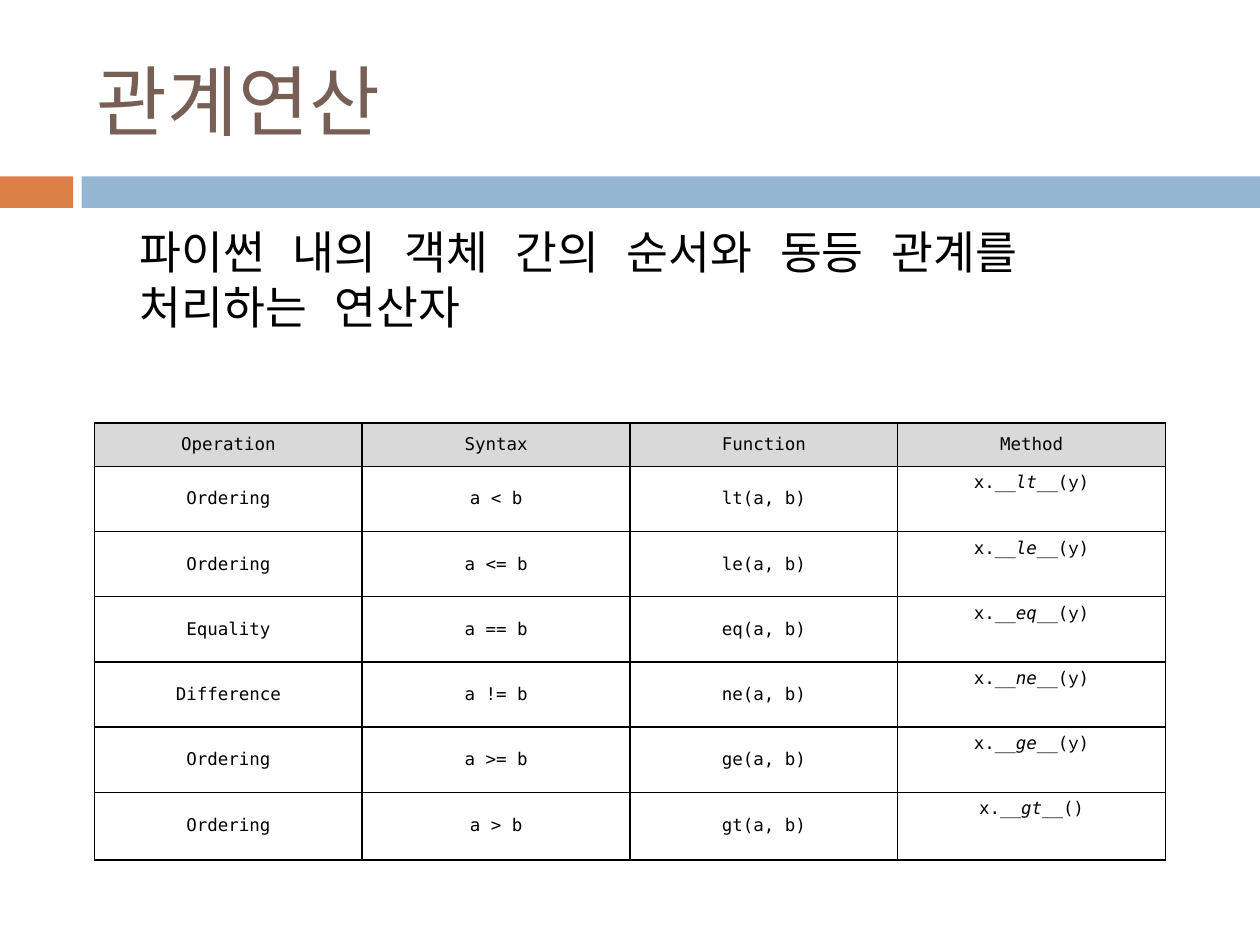
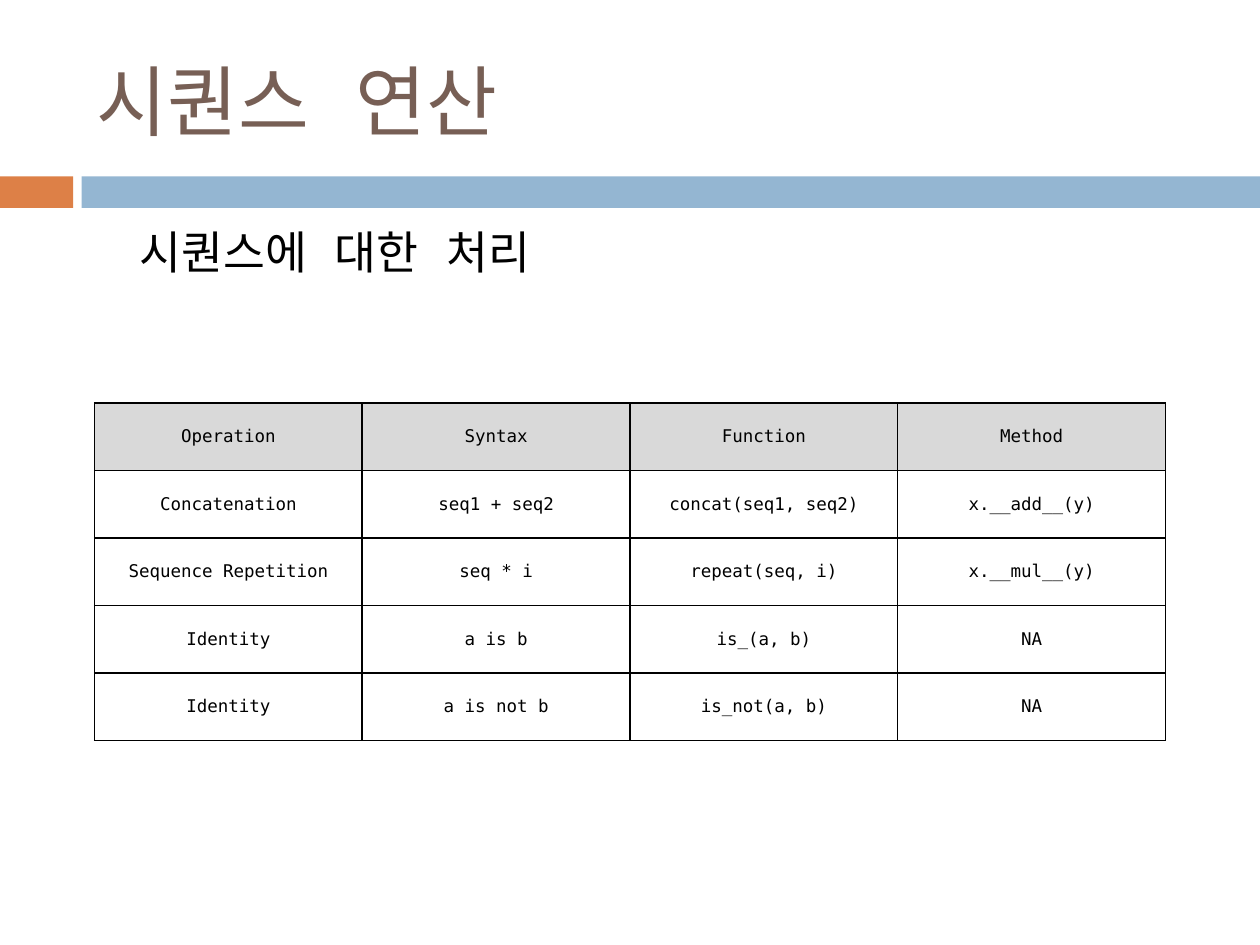
from lxml import etree
from pptx import Presentation
from pptx.dml.color import RGBColor
from pptx.enum.lang import MSO_LANGUAGE_ID
from pptx.enum.shapes import MSO_SHAPE
from pptx.enum.text import MSO_ANCHOR, PP_ALIGN
from pptx.oxml.ns import qn
from pptx.util import Pt

RECTANGLE = MSO_SHAPE.RECTANGLE
TOP, MIDDLE = MSO_ANCHOR.TOP, MSO_ANCHOR.MIDDLE
LEFT, CENTER = PP_ALIGN.LEFT, PP_ALIGN.CENTER
KOREAN = MSO_LANGUAGE_ID.KOREAN

COLORS = {
    "accent": "DD8047",
    "band": "94B6D2",
    "title": "775F55",
    "text": "000000",
    "header": "D9D9D9",
    "border": "000000",
}
FONT = "DejaVu Sans Mono"
ARGUMENT_FONT = "Courier New"

PAGE_WIDTH, PAGE_HEIGHT = 720, 540
BAND_BOX = (0, 100.8, PAGE_WIDTH, 18)
TITLE_BOX = (48.24, 18, 642.24, 77.76)
BODY_BOX = (36.72, 124.56, 648, 72)
TABLE_LEFT, TABLE_WIDTH = 54, 612

COLUMNS = ("Operation", "Syntax", "Function", "Method")
RELATIONS = [
    ("Ordering", "<", "lt", "y"),
    ("Ordering", "<=", "le", "y"),
    ("Equality", "==", "eq", "y"),
    ("Difference", "!=", "ne", "y"),
    ("Ordering", ">=", "ge", "y"),
    ("Ordering", ">", "gt", ""),
]
SEQUENCES = [
    ("Concatenation", "seq1 + seq2", "concat(seq1, seq2)", "x.__add__(y)"),
    ("Sequence Repetition", "seq * i", "repeat(seq, i)", "x.__mul__(y)"),
    ("Identity", "a is b", "is_(a, b)", "NA"),
    ("Identity", "a is not b", "is_not(a, b)", "NA"),
]


def rgb(name):
    return RGBColor.from_string(COLORS[name])


def write(para, text, size=10, color="text", font=FONT, italic=False, align=LEFT):
    para.alignment = align
    span = para.add_run()
    span.text = text
    span.font.size = Pt(size)
    span.font.italic = italic
    span.font.color.rgb = rgb(color)
    span.font.name = font
    span.font.language_id = KOREAN
    etree.SubElement(span.font._element, qn("a:ea"), typeface=font)


def add_bands(page, box):
    left, top, width, height = box
    accent_width, gap = 41.9, 4.7
    band_left = left + accent_width + gap
    for x, right, color in (
        (left, left + accent_width, "accent"),
        (band_left, left + width, "band"),
    ):
        bar = page.shapes.add_shape(RECTANGLE, Pt(x), Pt(top), Pt(right - x), Pt(height))
        bar.shadow.inherit = False
        bar.fill.solid()
        bar.fill.fore_color.rgb = rgb(color)
        bar.line.fill.background()


def add_text(page, box, text, anchor=TOP, indent=0, **style):
    frame = page.shapes.add_textbox(*map(Pt, box)).text_frame
    frame.word_wrap = True
    frame.vertical_anchor = anchor
    frame.margin_left = Pt(7.2 + indent)
    write(frame.paragraphs[0], text, **style)


def draw_borders(cell):
    properties = cell._tc.get_or_add_tcPr()
    for position, side in enumerate(("lnL", "lnR", "lnT", "lnB")):
        line = etree.Element(qn(f"a:{side}"), w=str(Pt(1)))
        fill = etree.SubElement(line, qn("a:solidFill"))
        etree.SubElement(fill, qn("a:srgbClr"), val=COLORS["border"])
        properties.insert(position, line)


def fill_cell(cell, content, header):
    if header:
        cell.fill.solid()
        cell.fill.fore_color.rgb = rgb("header")
    else:
        cell.fill.background()
    draw_borders(cell)
    para = cell.text_frame.paragraphs[0]
    if isinstance(content, str):
        cell.vertical_anchor = MIDDLE
        cell.margin_left = cell.margin_right = Pt(1.5)
        cell.margin_top = cell.margin_bottom = Pt(0.75)
        write(para, content, align=CENTER)
    else:
        for text, style in content:
            write(para, text, align=CENTER, **style)


def add_grid(page, box, rows, heights):
    left, top, width = box
    frame = page.shapes.add_table(
        len(rows), len(COLUMNS), Pt(left), Pt(top), Pt(width), Pt(sum(heights))
    )
    table = frame.table
    for column in table.columns:
        column.width = Pt(width / len(COLUMNS))
    for index, (row, height) in enumerate(zip(rows, heights)):
        table.rows[index].height = Pt(height)
        for cell, content in zip(table.rows[index].cells, row):
            fill_cell(cell, content, header=index == 0)


def relation_row(operation, symbol, name, argument):
    method = [("x.", {}), (f"__{name}__", {"italic": True})]
    if argument:
        method += [("(", {}), (argument, {"font": ARGUMENT_FONT}), (")", {})]
    else:
        method.append(("()", {}))
    return operation, f"a {symbol} b", f"{name}(a, b)", method


def add_page(deck, title, body, table_top, rows, heights):
    page = deck.slides.add_slide(deck.slide_layouts[6])
    add_bands(page, BAND_BOX)
    add_text(page, TITLE_BOX, title, anchor=MIDDLE, size=44, color="title")
    add_text(page, BODY_BOX, body, indent=36, size=26)
    add_grid(page, (TABLE_LEFT, table_top, TABLE_WIDTH), [COLUMNS, *rows], heights)


def main():
    deck = Presentation()
    deck.slide_width, deck.slide_height = Pt(PAGE_WIDTH), Pt(PAGE_HEIGHT)
    add_page(
        deck,
        "관계연산",
        "파이썬 내의 객체 간의 순서와 동등 관계를 처리하는 연산자",
        241.8,
        [relation_row(*relation) for relation in RELATIONS],
        [24.7] + [37.25] * 5 + [38.6],
    )
    add_page(deck, "시퀀스 연산", "시퀀스에 대한 처리", 230.4, SEQUENCES, [38.55] * 5)
    deck.save("out.pptx")


if __name__ == "__main__":
    main()
